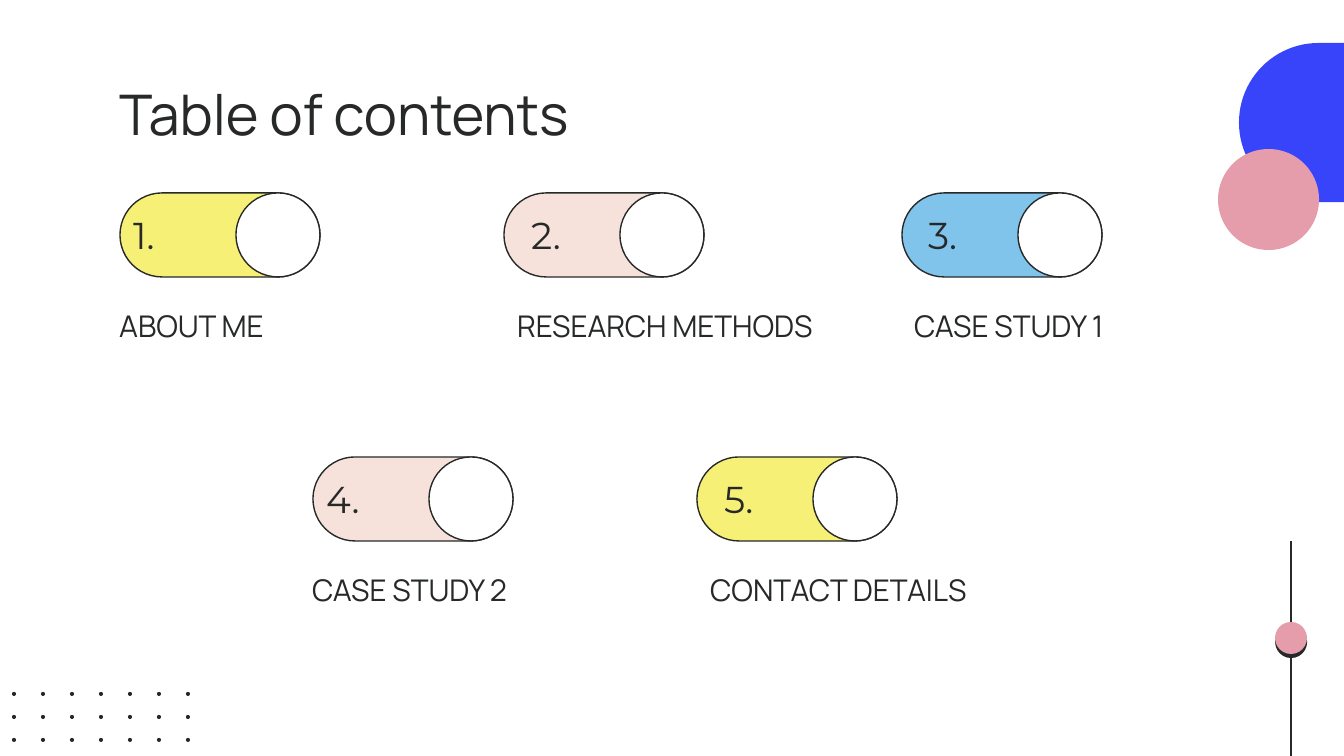
from lxml import etree
from pptx import Presentation
from pptx.dml.color import RGBColor
from pptx.enum.shapes import MSO_CONNECTOR, MSO_SHAPE
from pptx.enum.text import MSO_ANCHOR as Anchor
from pptx.oxml import parse_xml
from pptx.oxml.ns import nsdecls, qn
from pptx.util import Pt

PX = 914400 / 134.4
INK, WHITE, PINK, BLUE = "262928", "FFFFFF", "E59CAB", "3844F9"
YELLOW, BLUSH, SKY = "F7F077", "F6E2DA", "80C3EB"

deck = Presentation()
deck.slide_width, deck.slide_height = round(1344 * PX), round(756 * PX)
page = deck.slides.add_slide(deck.slide_layouts[6])


def add_figure(kind, left, top, width, height, fill, outline=None):
    figure = page.shapes.add_shape(kind, *[round(n * PX) for n in (left, top, width, height)])
    figure.shadow.inherit = False
    figure.fill.solid()
    figure.fill.fore_color.rgb = RGBColor.from_string(fill)
    if outline:
        figure.line.color.rgb = RGBColor.from_string(outline)
        figure.line.width = Pt(0.75)
    else:
        figure.line.fill.background()
    if kind == MSO_SHAPE.ROUNDED_RECTANGLE:
        figure.adjustments[0] = 0.5
    return figure


def add_text(words, left, top, width, height, size, font="Manrope", anchor=Anchor.TOP):
    box = page.shapes.add_textbox(*[round(n * PX) for n in (left, top, width, height)])
    frame = box.text_frame
    frame.word_wrap = True
    frame.vertical_anchor = anchor
    frame.margin_left = frame.margin_right = Pt(7.2)
    frame.margin_top = frame.margin_bottom = Pt(7.2)
    frame.text = words
    span = frame.paragraphs[0].runs[0]
    span.font.name = font
    span.font.size = Pt(size)
    span.font.color.rgb = RGBColor.from_string(INK)


# Corner decoration
add_figure(MSO_SHAPE.ROUNDED_RECTANGLE, 1239, 43, 347, 159, BLUE)
add_figure(MSO_SHAPE.OVAL, 1218, 149, 101, 101, PINK)

# Slider with a hard shadow under its bead
bead = add_figure(MSO_SHAPE.OVAL, 1275, 622, 32, 32, PINK)
effects = bead._element.spPr.find(qn("a:effectLst"))
effects.append(parse_xml(
    f'<a:outerShdw {nsdecls("a")} dist="27940" dir="5280000" algn="bl" rotWithShape="0">'
    f'<a:srgbClr val="{INK}"/></a:outerShdw>'))
for start, end in ((622, 541), (654, 756)):
    track = page.shapes.add_connector(
        MSO_CONNECTOR.STRAIGHT, *[round(n * PX) for n in (1291, start, 1291, end)])
    track.line.color.rgb = RGBColor.from_string(INK)
    track.line.width = Pt(0.75)
    etree.SubElement(track._element.spPr, qn("a:effectLst"))

# Dot grid
for row in range(3):
    for column in range(7):
        add_figure(MSO_SHAPE.OVAL, 12 + 29 * column, 692 + 23 * row, 4, 4, INK)

add_text("Table of contents", 106, 66, 1133, 85, 30)

# Toggle left, label left, top, colour, label; numbers keep the same offset from labels
entries = [
    (120, 106, 193, YELLOW, "ABOUT ME"),
    (504, 504, 193, BLUSH, "RESEARCH METHODS"),
    (902, 901, 193, SKY, "CASE STUDY 1"),
    (313, 299, 457, BLUSH, "CASE STUDY 2"),
    (697, 697, 457, YELLOW, "CONTACT DETAILS"),
]
for number, (left, label_left, top, colour, label) in enumerate(entries, 1):
    add_figure(MSO_SHAPE.ROUNDED_RECTANGLE, left, top, 200, 84, colour, INK)
    add_figure(MSO_SHAPE.OVAL, left + 116, top, 84, 84, WHITE, INK)
    add_text(f"{number}.", label_left + 14, top + 9, 107, 66, 20, "Montserrat", Anchor.MIDDLE)
    add_text(label, label_left, top + 101, 339, 102, 16)

deck.save("out.pptx")
